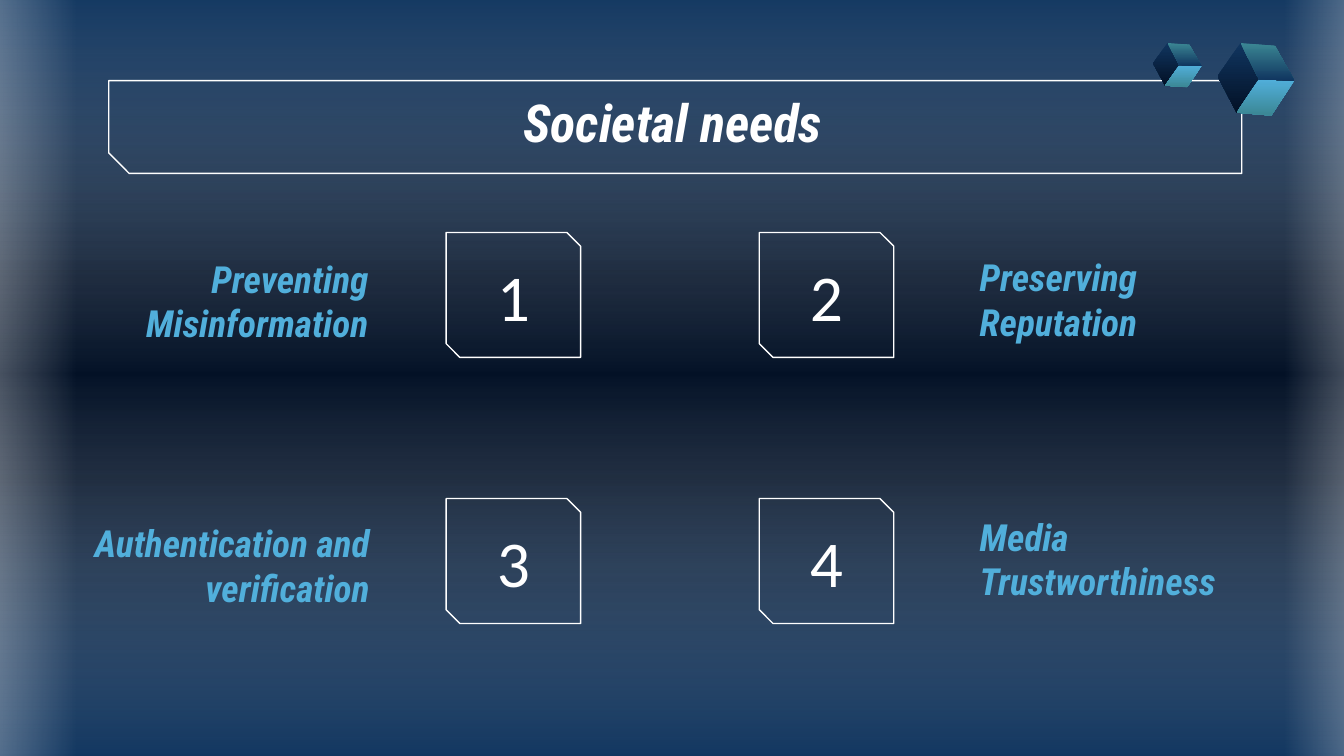
from lxml.etree import SubElement
from pptx import Presentation
from pptx.dml.color import RGBColor
from pptx.enum.shapes import MSO_SHAPE
from pptx.enum.text import MSO_ANCHOR, PP_ALIGN
from pptx.oxml.ns import qn
from pptx.util import Inches, Pt

COLORS = {"navy": "10355F", "night": "031126", "white": "FFFFFF",
          "sky": "51AFDB", "teal": "3B8794"}
HEAD = "Roboto Condensed"


def paint(fill, parent, stops, angle):
    """Fill with a linear gradient of (position, color, alpha) stops in percent."""
    fill.solid()
    old = parent.find(qn("a:solidFill"))
    grad = SubElement(parent, qn("a:gradFill"), rotWithShape="1")
    parent.replace(old, grad)
    items = SubElement(grad, qn("a:gsLst"))
    for pos, name, alpha in stops:
        stop = SubElement(items, qn("a:gs"), pos=str(pos * 1000))
        color = SubElement(stop, qn("a:srgbClr"), val=COLORS[name])
        if alpha < 100:
            SubElement(color, qn("a:alpha"), val=str(alpha * 1000))
    SubElement(grad, qn("a:lin"), ang=str(angle * 60000), scaled="0")


def tint(shape, stops, angle):
    """Give a shape a gradient, no line and no shadow."""
    shape.shadow.inherit = False
    shape.line.fill.background()
    paint(shape.fill, shape.element.spPr, stops, angle)


def write(shape, lines, size, font, color, align, anchor, strong=True):
    """Write one paragraph per line into a shape."""
    frame = shape.text_frame
    frame.word_wrap = True
    frame.vertical_anchor = anchor
    frame.margin_left = frame.margin_right = Inches(0.1)
    frame.margin_top = frame.margin_bottom = Inches(0.1)
    frame.text = "\n".join(lines)
    for par in frame.paragraphs:
        par.alignment = align
        par.font.size = Pt(size)
        par.font.name = font
        par.font.bold = par.font.italic = strong
        par.font.color.rgb = RGBColor.from_string(COLORS[color])


def add_text(slide, box, lines, size, color, align, anchor):
    """Place a bold italic text box."""
    shape = slide.shapes.add_textbox(*map(Inches, box))
    write(shape, lines, size, HEAD, color, align, anchor)


def add_frame(slide, box, snip):
    """Outline a box with two snipped corners."""
    shape = slide.shapes.add_shape(MSO_SHAPE.SNIP_2_DIAG_RECTANGLE,
                                   *map(Inches, box))
    shape.shadow.inherit = False
    shape.adjustments[0] = 0
    shape.adjustments[1] = snip
    shape.fill.background()
    shape.line.color.rgb = RGBColor.from_string(COLORS["white"])
    shape.line.width = Pt(0.75)
    return shape


def add_backdrop(slide):
    """Paint the background, its veil and the two bright edges."""
    back = slide.background
    base = [(0, "navy", 100), (37, "night", 100),
            (63, "night", 100), (100, "navy", 100)]
    back.fill.solid()
    paint(back.fill, slide.element.cSld.bg.bgPr, base, 90)
    veil = [(0, "navy", 59), (50, "white", 0), (100, "navy", 59)]
    glow = [(0, "white", 47), (100, "white", 0)]
    for box, turn, stops in (((2.2, -2.33, 5.81, 10.21), 270, veil),
                             ((-0.41, -0.09, 0.98, 5.8), 180, glow),
                             ((9.56, -0.13, 0.85, 5.8), 0, glow)):
        shape = slide.shapes.add_shape(MSO_SHAPE.RECTANGLE, *map(Inches, box))
        shape.rotation = turn
        tint(shape, stops, 180)


def add_title(slide, box, text):
    """Place the framed title."""
    left, top, width, height = box
    add_frame(slide, box, 0.22)
    add_text(slide, (left - 0.02, top - 0.01, width, height - 0.06), [text],
             28, "white", PP_ALIGN.CENTER, MSO_ANCHOR.MIDDLE)


def add_cube(slide, box):
    """Draw a cube of three faces that meet in its middle."""
    left, top, width, height = box
    mid, west, east = (0.54, 0.5), (0, 0.46), (1, 0.52)
    nw, ne, sw, se = (0.3, 0), (0.75, 0.04), (0.25, 0.96), (0.7, 1)
    faces = (((nw, west, sw, mid), "navy", "night"),
             ((mid, east, se, sw), "sky", "teal"),
             ((nw, ne, east, mid), "teal", "navy"))
    group = slide.shapes.add_group_shape()
    for face, first, last in faces:
        points = [(Inches(left + x * width), Inches(top + y * height))
                  for x, y in face]
        path = group.shapes.build_freeform(*points[0])
        path.add_line_segments(points[1:])
        tint(path.convert_to_shape(), [(0, first, 100), (100, last, 100)], 90)


def add_need(slide, box, number, label, lines, align):
    """Place a numbered frame and its label."""
    shape = add_frame(slide, box, 0.11)
    write(shape, [str(number)], 35, "Calibri", "white",
          PP_ALIGN.CENTER, MSO_ANCHOR.MIDDLE, False)
    add_text(slide, label, lines, 20, "sky", align, MSO_ANCHOR.BOTTOM)


def main():
    """Build the slide and save it."""
    deck = Presentation()
    deck.slide_width = Inches(10)
    deck.slide_height = deck.slide_width * 9 // 16
    slide = deck.slides.add_slide(deck.slide_layouts[6])
    add_backdrop(slide)
    add_title(slide, (0.81, 0.6, 8.43, 0.69), "Societal needs")
    for box in ((9.06, 0.32, 0.57, 0.54), (8.58, 0.32, 0.36, 0.33)):
        add_cube(slide, box)
    needs = (((0.55, 2.04, 2.29, 0.63), ["Preventing Misinformation"]),
             ((7.19, 2.24, 2.18, 0.42), ["Preserving", "Reputation"]),
             ((0.17, 4.32, 2.68, 0.32), ["Authentication and verification"]),
             ((7.19, 4.17, 2.01, 0.42), ["Media Trustworthiness"]))
    for i, (label, lines) in enumerate(needs):
        row, col = divmod(i, 2)
        box = (3.32 + col * 2.33, 1.73 + row * 1.98, 1, 0.93)
        align = PP_ALIGN.LEFT if col else PP_ALIGN.RIGHT
        add_need(slide, box, i + 1, label, lines, align)
    deck.save("out.pptx")


if __name__ == "__main__":
    main()
